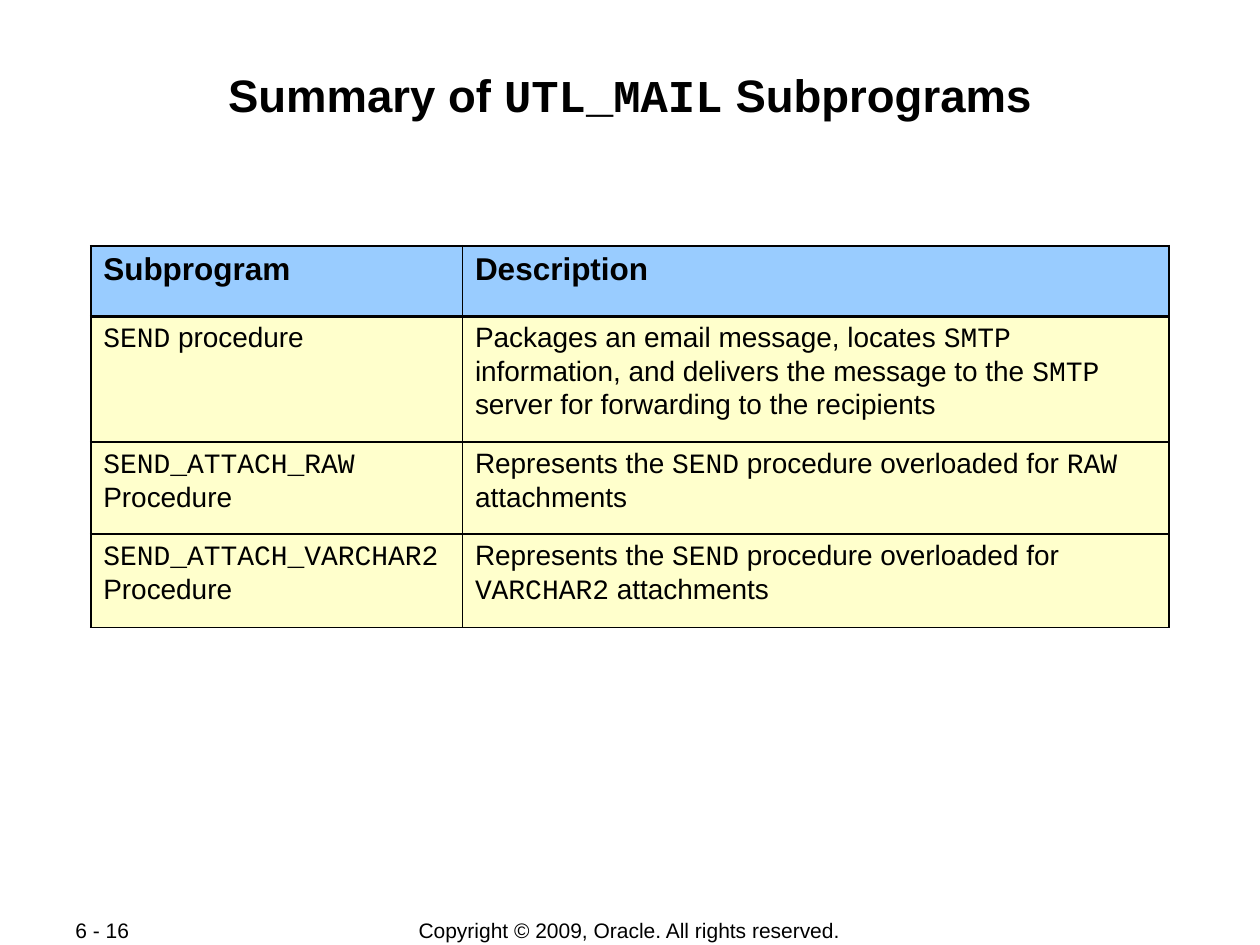
from lxml import etree
from pptx import Presentation
from pptx.dml.color import RGBColor
from pptx.enum.text import MSO_ANCHOR, PP_ALIGN
from pptx.oxml.ns import qn
from pptx.util import Inches, Pt

CENTER, JUSTIFY, LEFT = PP_ALIGN.CENTER, PP_ALIGN.JUSTIFY, PP_ALIGN.LEFT
TOP, MIDDLE = MSO_ANCHOR.TOP, MSO_ANCHOR.MIDDLE
SANS, MONO = "Arial", "Courier New"
BLACK, BLUE, YELLOW = "000000", "99CCFF", "FFFFCC"
THIN, THICK = 1.08, 2.21

# Text between backticks is set in the code font.
TITLE = "Summary of `UTL_MAIL` Subprograms"
SUBPROGRAMS = [
    ("Subprogram", "Description"),
    ("`SEND` procedure",
     "Packages an email message, locates `SMTP` information, and delivers "
     "the message to the `SMTP` server for forwarding to the recipients"),
    ("`SEND_ATTACH_RAW` Procedure",
     "Represents the `SEND` procedure overloaded for `RAW` attachments"),
    ("`SEND_ATTACH_VARCHAR2` Procedure",
     "Represents the `SEND` procedure overloaded for `VARCHAR2` attachments"),
]
COLUMN_WIDTHS = [2.95, 5.61]
ROW_HEIGHTS = [0.56, 1, 0.73, 0.74]
FOOTERS = [
    ("Copyright © 2009, Oracle. All rights reserved.", (2.75, 7.28, 4.49, 0.21), CENTER),
    ("6 - 16", (0.5, 7.28, 1.06, 0.2), JUSTIFY),
]


def color(value):
    return RGBColor.from_string(value)


def write(frame, text, size, bold=False, align=LEFT):
    paragraph = frame.paragraphs[0]
    paragraph.alignment = align
    for index, part in enumerate(text.split("`")):
        if not part:
            continue
        run = paragraph.add_run()
        run.text = part
        look = {"name": MONO if index % 2 else SANS, "size": Pt(size), "bold": bold}
        for key, value in look.items():
            setattr(run.font, key, value)
        run.font.color.rgb = color(BLACK)


def add_text(slide, text, box, size, wrap, anchor, margins, **style):
    frame = slide.shapes.add_textbox(*map(Inches, box)).text_frame
    frame.word_wrap = wrap
    frame.vertical_anchor = anchor
    for side, margin in zip(("left", "top", "right", "bottom"), margins):
        setattr(frame, f"margin_{side}", Inches(margin))
    write(frame, text, size, **style)


def add_borders(cell, widths):
    properties = cell._tc.get_or_add_tcPr()
    for position, (side, width) in enumerate(widths.items()):
        line = etree.Element(qn(f"a:ln{side}"), w=str(Pt(width)))
        fill = etree.SubElement(line, qn("a:solidFill"))
        etree.SubElement(fill, qn("a:srgbClr"), val=BLACK)
        properties.insert(position, line)


def add_subprogram_table(slide):
    box = (0.72, 1.95, sum(COLUMN_WIDTHS), sum(ROW_HEIGHTS))
    table = slide.shapes.add_table(
        len(SUBPROGRAMS), len(COLUMN_WIDTHS), *map(Inches, box)).table
    for column, width in zip(table.columns, COLUMN_WIDTHS):
        column.width = Inches(width)
    for row, height in zip(table.rows, ROW_HEIGHTS):
        row.height = Inches(height)
    for r, texts in enumerate(SUBPROGRAMS):
        header = r == 0
        for c, text in enumerate(texts):
            cell = table.cell(r, c)
            cell.fill.solid()
            cell.fill.fore_color.rgb = color(BLUE if header else YELLOW)
            add_borders(cell, {"L": THIN, "R": THIN,
                               "T": THICK if r == 1 else THIN,
                               "B": THICK if header else THIN})
            write(cell.text_frame, text, 18 if header else 16, bold=header)


def main():
    deck = Presentation()
    deck.slide_width, deck.slide_height = Inches(10), Inches(7.5)
    slide = deck.slides.add_slide(deck.slide_layouts[6])
    for text, box, align in FOOTERS:
        add_text(slide, text, box, 12, False, MIDDLE, (0.1, 0.05, 0.1, 0.05), align=align)
    add_text(slide, TITLE, (0.67, 0.48, 8.66, 0.96), 26, True, TOP,
             (0.01, 0.05, 0.01, 0.01), bold=True, align=CENTER)
    add_subprogram_table(slide)
    deck.save("out.pptx")


if __name__ == "__main__":
    main()
